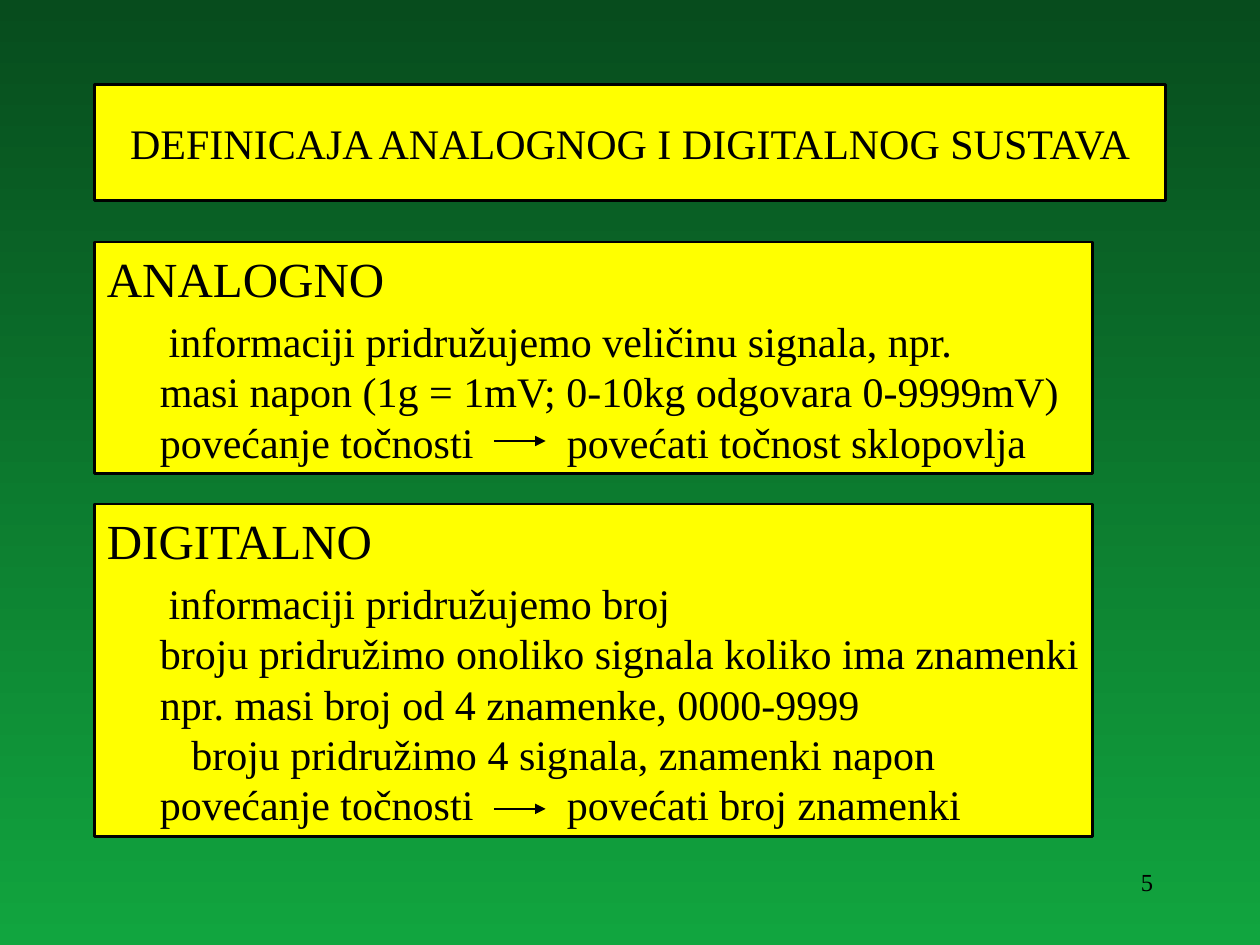
import pptx
import pptx.util
import pptx.dml.color
import pptx.enum.shapes
import pptx.enum.text
import pptx.oxml.ns
import lxml.etree

Inches, Pt = pptx.util.Inches, pptx.util.Pt
ALIGN = pptx.enum.text.PP_ALIGN
ANCHOR = pptx.enum.text.MSO_ANCHOR
FONT = "Times New Roman"
BLACK, YELLOW = "000000", "FFFF00"
LEFT = 0.75
FIRST, INDENT, DEEP = 0.49, 0.42, 0.67  # first-line indents of the body lines
TALL, NORMAL = 33.6, 28.8               # line heights in points


def rgb(color):
    return pptx.dml.color.RGBColor.from_string(color)


def add_child(parent, tag, **attrs):
    return lxml.etree.SubElement(parent, pptx.oxml.ns.qn(tag), attrs)


def set_background(s, top, bottom):
    fill = s.background.fill
    fill.gradient()
    fill.gradient_angle = 270
    for stop, color, position in zip(fill.gradient_stops, (top, bottom), (0, 1)):
        stop.color.rgb = rgb(color)
        stop.position = position


def style_panel(sp):
    sp.fill.solid()
    sp.fill.fore_color.rgb = rgb(YELLOW)
    sp.line.color.rgb = rgb(BLACK)
    sp.line.width = Pt(1.5)


def format_paragraph(p, size, align, line_height=None):
    p.alignment = align
    p.space_before = Pt(0)
    if line_height:
        p.line_spacing = Pt(line_height)
    for r in p.runs:
        r.font.name = FONT
        r.font.size = Pt(size)
        r.font.color.rgb = rgb(BLACK)


def add_title(s, text):
    sp = s.shapes.title
    sp.left, sp.top = Inches(LEFT), Inches(0.67)
    sp.width, sp.height = Inches(8.5), Inches(0.92)
    style_panel(sp)
    tf = sp.text_frame
    tf.text = text
    tf.auto_size = pptx.enum.text.MSO_AUTO_SIZE.NONE
    tf.vertical_anchor = ANCHOR.MIDDLE
    format_paragraph(tf.paragraphs[0], 24, ALIGN.CENTER)


def add_text(s, x, y, w, h, text, size, align, line_height=None):
    sp = s.shapes.add_textbox(Inches(x), Inches(y), Inches(w), Inches(h))
    tf = sp.text_frame
    tf.word_wrap = True
    tf.text = text
    format_paragraph(tf.paragraphs[0], size, align, line_height)


def add_arrow(s, y):
    line = s.shapes.add_connector(pptx.enum.shapes.MSO_CONNECTOR.STRAIGHT,
                                  Inches(3.92), Inches(y), Inches(4.33), Inches(y))
    line.line.color.rgb = rgb(BLACK)
    line.line.width = Pt(0.75)
    add_child(line.line._get_or_add_ln(), "a:tailEnd", type="triangle")
    add_child(line._element.spPr, "a:effectLst")


def add_panel(s, top, height, heading, lines, consequence, arrow_y):
    """Yellow box with a heading and (indent, text) lines.

    An arrow leads from the last line to its consequence."""
    sp = s.shapes.add_shape(pptx.enum.shapes.MSO_SHAPE.RECTANGLE,
                            Inches(LEFT), Inches(top), Inches(7.92), Inches(height))
    sp.shadow.inherit = False
    style_panel(sp)
    tf = sp.text_frame
    tf.word_wrap = False
    tf.vertical_anchor = ANCHOR.TOP
    tf.text = heading
    format_paragraph(tf.paragraphs[0], 28, ALIGN.LEFT, TALL)
    for i, (indent, text) in enumerate(lines):
        p = tf.add_paragraph()
        p.text = text
        format_paragraph(p, 24, ALIGN.LEFT, NORMAL if i else TALL)
        pPr = p._p.get_or_add_pPr()
        pPr.set("marL", "0")
        pPr.set("indent", str(Inches(indent)))

    # Consequence, level with the last line
    last_line = top + (2 * TALL + (len(lines) - 2) * NORMAL) / 72
    add_text(s, 4.4, last_line, 4.2, 0.5, consequence, 24, ALIGN.LEFT, NORMAL)
    add_arrow(s, arrow_y)


def main():
    prs = pptx.Presentation()
    prs.slide_width, prs.slide_height = Inches(10), Inches(7.5)
    s = prs.slides.add_slide(prs.slide_layouts[5])
    set_background(s, "074C1D", "11A53F")
    add_title(s, "DEFINICAJA ANALOGNOG I DIGITALNOG SUSTAVA")

    # Analogue system
    add_panel(s, 1.92, 1.84, "ANALOGNO", [
        (FIRST, "informaciji pridružujemo veličinu signala, npr."),
        (INDENT, "masi napon (1g = 1mV; 0-10kg odgovara 0-9999mV)"),
        (INDENT, "povećanje točnosti"),
    ], "povećati točnost sklopovlja", 3.5)

    # Digital system
    add_panel(s, 4, 2.64, "DIGITALNO", [
        (FIRST, "informaciji pridružujemo broj"),
        (INDENT, "broju pridružimo onoliko signala koliko ima znamenki"),
        (INDENT, "npr. masi broj od 4 znamenke, 0000-9999"),
        (DEEP, "broju pridružimo 4 signala, znamenki napon"),
        (INDENT, "povećanje točnosti"),
    ], "povećati broj znamenki", 6.42)

    # Page number
    add_text(s, 7.17, 6.83, 2.08, 0.5, "5", 14, ALIGN.RIGHT)
    prs.save("out.pptx")


if __name__ == "__main__":
    main()
